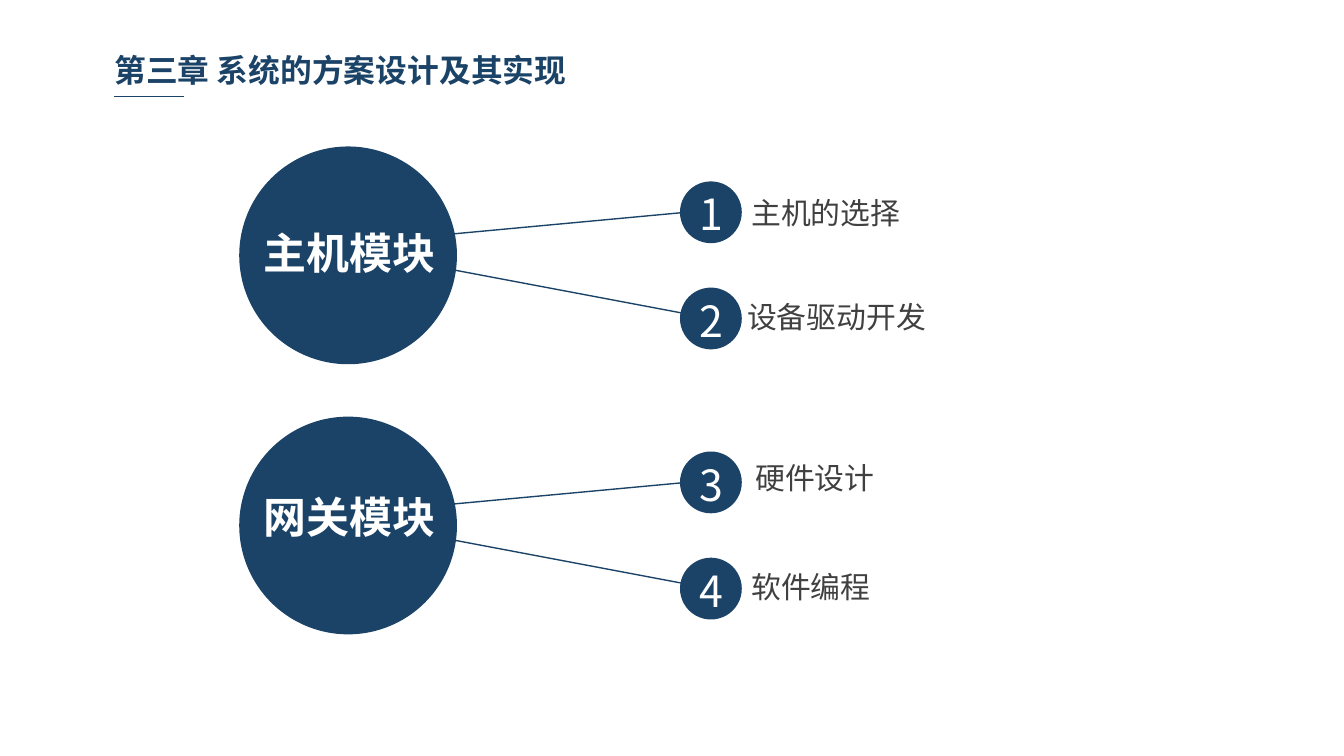
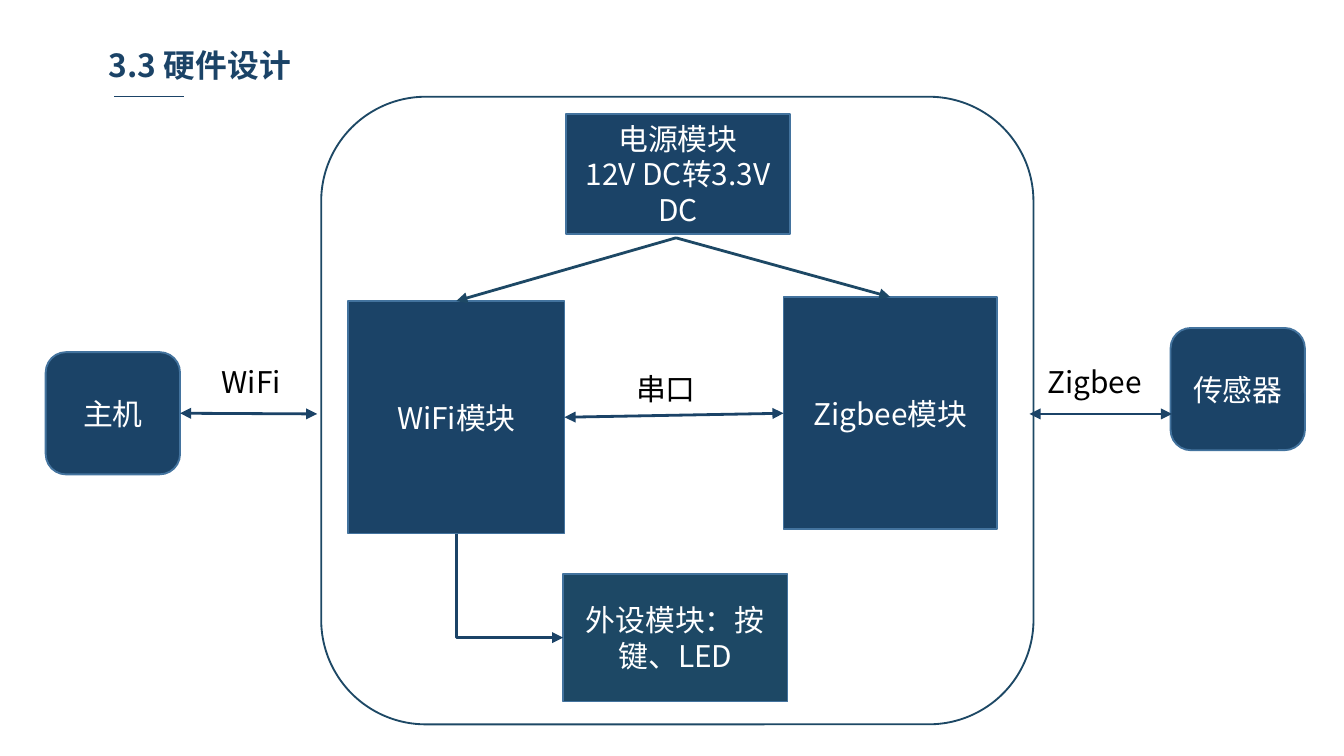
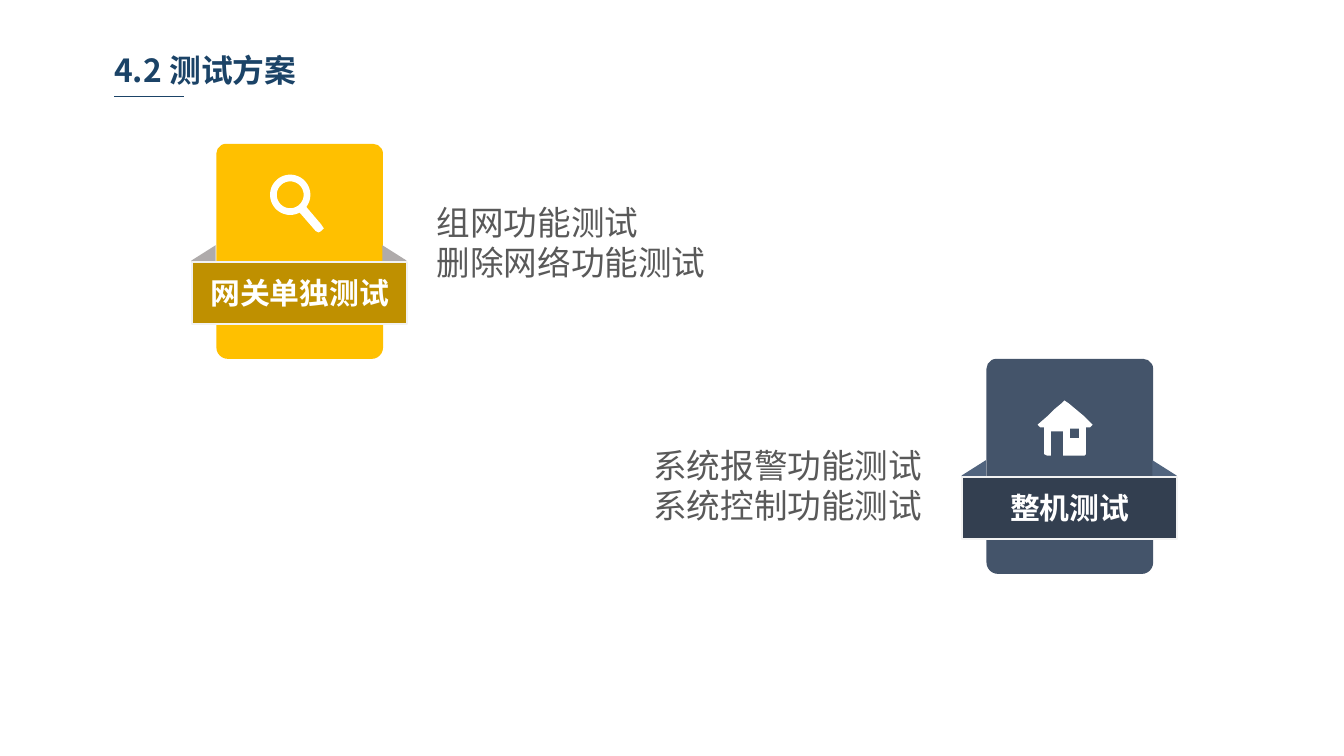
import math

import lxml.etree
import pptx
import pptx.dml.color
import pptx.enum.shapes
import pptx.enum.text
import pptx.oxml.ns
import pptx.util

FONT = "Noto Sans CJK SC"
COLORS = {
    "navy": "1B4367", "teal": "1D4865", "edge": "43739E",
    "white": "FFFFFF", "black": "000000", "label": "404040", "body": "595959",
    "amber": "FFC000", "amber_band": "BF9000", "amber_fold": "AFABAB",
    "slate": "44546A", "slate_band": "333F50", "slate_fold": "51647E",
    "band_edge": "F2F2F2",
}
SMALL_INSET = (0.07, 0.04)
WIDE_INSET = (0.13, 0.07)
TOP, LEFT, BOTTOM, RIGHT = range(4)

Inches = pptx.util.Inches
PRESET = pptx.enum.shapes.MSO_SHAPE
ALIGN = pptx.enum.text.PP_ALIGN
ANCHOR = pptx.enum.text.MSO_ANCHOR
AUTO_SIZE = pptx.enum.text.MSO_AUTO_SIZE


def rgb(name):
    return pptx.dml.color.RGBColor.from_string(COLORS[name])


def add_child(parent, tag, **attributes):
    return lxml.etree.SubElement(parent, pptx.oxml.ns.qn(tag), **attributes)


# Text and basic parts

def write(holder, text, size=16, color="white", bold=False, align=ALIGN.CENTER,
          anchor=ANCHOR.MIDDLE, inset=(0.1, 0.05), spacing=None, grow=False):
    frame = holder.text_frame
    frame.word_wrap = True
    frame.auto_size = AUTO_SIZE.SHAPE_TO_FIT_TEXT if grow else AUTO_SIZE.NONE
    frame.vertical_anchor = anchor
    frame.margin_left = frame.margin_right = Inches(inset[0])
    frame.margin_top = frame.margin_bottom = Inches(inset[1])
    frame.text = text
    for paragraph in frame.paragraphs:
        paragraph.alignment = align
        if spacing:
            paragraph.line_spacing = pptx.util.Pt(spacing)
        for run in paragraph.runs:
            run.font.size = pptx.util.Pt(size)
            run.font.bold = bold
            run.font.color.rgb = rgb(color)
            run.font.name = FONT
            add_child(run._r.get_or_add_rPr(), "a:ea", typeface=FONT)


def add_label(parent, box, text, **style):
    label = parent.shapes.add_textbox(*map(Inches, box))
    write(label, text, anchor=ANCHOR.TOP, grow=True, **style)


def paint(shape, fill, edge=None):
    shape.shadow.inherit = False
    shape.fill.solid()
    shape.fill.fore_color.rgb = rgb(fill)
    if edge:
        shape.line.color.rgb = rgb(edge)
        shape.line.width = pptx.util.Pt(1)
    else:
        shape.line.fill.background()


def add_block(parent, preset, box, fill, edge=None, text=None, **style):
    block = parent.shapes.add_shape(preset, *map(Inches, box))
    paint(block, fill, edge)
    if text:
        write(block, text, **style)
    return block


def add_link(slide, start=(0, 0), end=(0, 0), join_from=None, join_to=None,
             color="navy", width=1.5, head=False, tail=False):
    link = slide.shapes.add_connector(
        pptx.enum.shapes.MSO_CONNECTOR.STRAIGHT, *map(Inches, (*start, *end)))
    if join_from:
        link.begin_connect(*join_from)
    if join_to:
        link.end_connect(*join_to)
    link.line.color.rgb = rgb(color)
    link.line.width = pptx.util.Pt(width)
    outline = link.line._get_or_add_ln()
    if head:
        add_child(outline, "a:headEnd", type="triangle")
    if tail:
        add_child(outline, "a:tailEnd", type="triangle")
    add_child(link._element.spPr, "a:effectLst")
    return link


def bend_down_then_right(link):
    """Turn a straight link into a right angle between the same ends."""
    across, down = link.width, link.height
    center_x, center_y = link.left + across // 2, link.top + down // 2
    link.left, link.top = center_x - down // 2, center_y - across // 2
    link.width, link.height = down, across
    properties = link._element.spPr
    properties.xfrm.set("rot", str(270 * 60000))
    properties.xfrm.set("flipH", "1")
    properties.find(pptx.oxml.ns.qn("a:prstGeom")).set("prst", "bentConnector2")


def add_titled_slide(deck, title, left=0.78, top=0.34, width=2.47):
    slide = deck.slides.add_slide(deck.slide_layouts[5])
    heading = slide.shapes.title
    heading.left, heading.top = Inches(left), Inches(top)
    heading.width, heading.height = Inches(width), Inches(0.36)
    write(heading, title, size=17, color="navy", bold=True, align=ALIGN.LEFT,
          anchor=ANCHOR.TOP, inset=SMALL_INSET)
    add_link(slide, (0.85, 0.72), (1.37, 0.72), width=0.75)
    return slide


# Chapter overview: modules and their numbered topics

def add_disc(slide, box, caption_box, caption, bold=False):
    group = slide.shapes.add_group_shape()
    add_block(group, PRESET.OVAL, box, "navy")
    add_label(group, caption_box, caption, size=23, bold=bold)


def add_module(slide, left, top, name, name_top, first_number, topics):
    add_link(slide, (left + 0.95, top + 0.71), (left + 3.43, top + 0.48), width=0.75)
    add_link(slide, (left + 1.02, top + 0.81), (left + 3.51, top + 1.28), width=0.75)
    for index, (topic, topic_left, topic_top) in enumerate(topics):
        x, y = left + 3.28, top + 0.26 + index * 0.79
        add_disc(slide, (x, y, 0.46, 0.46), (x + 0.01, y, 0.45, 0.49),
                 str(first_number + index))
        add_label(slide, (left + topic_left, top + topic_top, 3.4, 0.29), topic,
                  color="label", align=ALIGN.LEFT, inset=SMALL_INSET, spacing=15)
    add_disc(slide, (left, top, 1.62, 1.62),
             (left + 0.01, top + name_top, 1.62, 0.49), name, bold=True)


def build_overview(deck):
    slide = add_titled_slide(deck, "第三章 系统的方案设计及其实现", width=3.67)
    add_module(slide, 1.78, 1.09, "主机模块", 0.55, 1,
               [("主机的选择", 3.74, 0.38), ("设备驱动开发", 3.71, 1.15)])
    add_module(slide, 1.78, 3.1, "网关模块", 0.5, 3,
               [("硬件设计", 3.77, 0.34), ("软件编程", 3.74, 1.15)])


# Hardware block diagram

def add_gateway(slide, left, top):
    add_block(slide, PRESET.ROUNDED_RECTANGLE, (left, top, 5.3, 4.67), "white", "teal")

    def add_unit(x, y, width, height, text, fill="navy"):
        return add_block(slide, PRESET.RECTANGLE, (left + x, top + y, width, height),
                         fill, "edge", text)

    add_unit(1.82, 0.13, 1.67, 0.89, "电源模块\n12V DC转3.3V DC")
    wifi = add_unit(0.2, 1.52, 1.61, 1.73, "WiFi模块")
    zigbee = add_unit(3.44, 1.49, 1.59, 1.73, "Zigbee模块")
    peripherals = add_unit(1.8, 3.55, 1.67, 0.95, "外设模块：按键、LED", "teal")

    add_link(slide, join_from=(wifi, RIGHT), join_to=(zigbee, LEFT), head=True, tail=True)
    for radio in (wifi, zigbee):
        add_link(slide, (left + 2.64, top + 1.05), join_to=(radio, TOP),
                 color="teal", tail=True)
    bend_down_then_right(add_link(slide, join_from=(wifi, BOTTOM),
                                  join_to=(peripherals, LEFT), tail=True))
    add_label(slide, (left + 1.8, top + 1.99, 1.53, 0.37), "串口", color="black")


def build_hardware(deck):
    slide = add_titled_slide(deck, "3.3 硬件设计", left=0.74, top=0.3)
    add_gateway(slide, 2.39, 0.72)
    host, _ = [
        add_block(slide, PRESET.ROUNDED_RECTANGLE, (x, y, 1, 0.91), "navy", "edge", name)
        for name, x, y in (("主机", 0.34, 2.62), ("传感器", 8.71, 2.44))]
    add_link(slide, (2.36, 3.08), join_to=(host, RIGHT), head=True, tail=True)
    add_link(slide, (7.66, 3.08), (8.72, 3.08), head=True, tail=True)
    for protocol, x, width in (("WiFi", 1.31, 1.12), ("Zigbee", 7.62, 1.05)):
        add_label(slide, (x, 2.66, width, 0.37), protocol, color="black")


# Test plan cards and icons

def arc(center, radius, first, last, steps=48):
    angles = [math.radians(first + (last - first) * i / steps) for i in range(steps + 1)]
    return [(center + radius * math.cos(a), center + radius * math.sin(a)) for a in angles]


LENS = 0.15
HANDLE = [(0.34, 0.42), (0.36, 0.43), (0.38, 0.42), (0.4, 0.4), (0.38, 0.37)]
MAGNIFIER = [arc(LENS, 0.15, 37, -298) + HANDLE, arc(LENS, 0.1, 0, 360)]
HOUSE = [
    [(0.41, 0.18), (0.35, 0.12), (0.29, 0.07), (0.23, 0.02), (0.2, 0), (0.18, 0.02),
     (0.12, 0.07), (0.07, 0.12), (0, 0.18), (0.02, 0.2), (0.05, 0.2), (0.05, 0.4),
     (0.07, 0.41), (0.1, 0.41), (0.1, 0.23), (0.19, 0.23), (0.19, 0.41), (0.35, 0.41),
     (0.36, 0.4), (0.36, 0.2), (0.39, 0.2)],
    [(0.31, 0.28), (0.24, 0.28), (0.24, 0.21), (0.31, 0.21)],
]


def add_icon(slide, left, top, contours):
    placed = [[(Inches(left + x), Inches(top + y)) for x, y in contour]
              for contour in contours]
    outline = slide.shapes.build_freeform(*placed[0][0])
    for index, contour in enumerate(placed):
        if index:
            outline.move_to(*contour[0])
        outline.add_line_segments(contour[1:], close=True)
    paint(outline.convert_to_shape(), "white")


def add_card(slide, left, top, name, palette, icon, icon_at):
    group = slide.shapes.add_group_shape()
    # Lower and upper ends of the card
    for y, height, rounding, turn in ((1.29, 0.31, 0.274, 180), (0, 0.88, 0.084, 0)):
        end = add_block(group, PRESET.ROUND_2_SAME_RECTANGLE,
                        (left + 0.18, top + y, 1.24, height), palette)
        end.adjustments[0], end.adjustments[1] = rounding, 0
        end.rotation = turn
    # Ribbon folds behind the band
    for x, turn, flips in ((1.22, 270, ("flipH", "flipV")), (-0.2, 90, ("flipV",))):
        fold = add_block(group, PRESET.FLOWCHART_DATA,
                         (left + x, top + 0.95, 0.57, 0.18), palette + "_fold")
        fold.rotation = turn
        for flip in flips:
            fold._element.spPr.xfrm.set(flip, "1")
    add_block(group, PRESET.RECTANGLE, (left, top + 0.88, 1.6, 0.46),
              palette + "_band", "band_edge", name, bold=True)
    add_icon(slide, left + icon_at[0], top + icon_at[1], icon)


def build_test_plan(deck):
    slide = add_titled_slide(deck, "4.2 测试方案")
    add_card(slide, 7.16, 2.67, "整机测试", "slate", HOUSE, (0.56, 0.31))
    add_card(slide, 1.43, 1.07, "网关单独测试", "amber", MAGNIFIER, (0.58, 0.23))
    for box, tests, align in (
            ((3.12, 1.43, 4.6, 0.74), "组网功能测试\n删除网络功能测试", ALIGN.LEFT),
            ((3.34, 3.24, 3.65, 0.96), "系统报警功能测试\n系统控制功能测试", ALIGN.RIGHT)):
        add_label(slide, box, tests, size=18, color="body", align=align, inset=WIDE_INSET)


def main():
    deck = pptx.Presentation()
    deck.slide_width = Inches(10)
    deck.slide_height = deck.slide_width * 9 // 16
    build_overview(deck)
    build_hardware(deck)
    build_test_plan(deck)
    deck.save("out.pptx")


if __name__ == "__main__":
    main()
